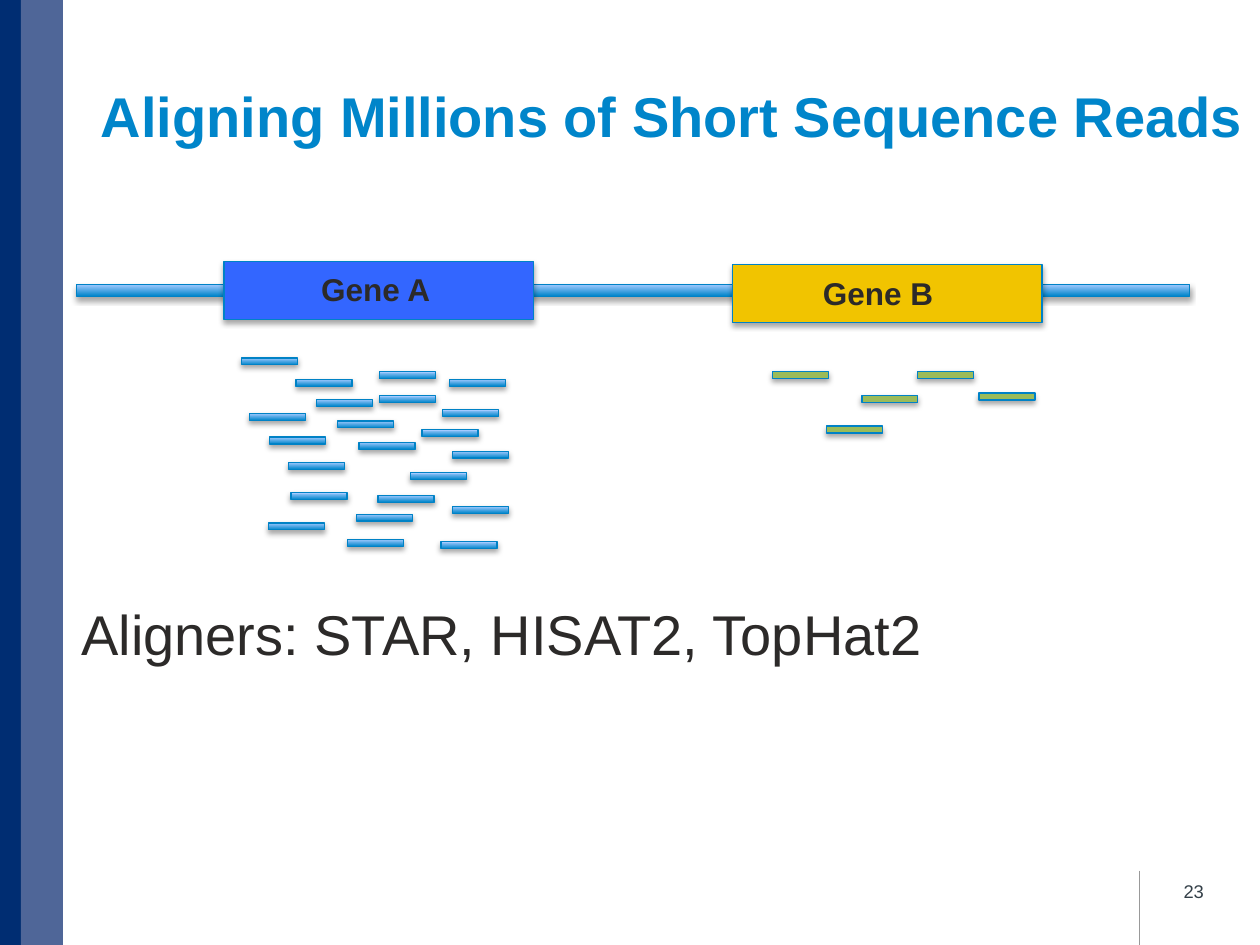
from dataclasses import dataclass

from lxml import etree
from pptx import Presentation
from pptx.dml.color import RGBColor
from pptx.enum.shapes import MSO_CONNECTOR, MSO_SHAPE
from pptx.enum.text import MSO_ANCHOR, PP_ALIGN
from pptx.oxml.ns import qn
from pptx.util import Pt

RECT = MSO_SHAPE.RECTANGLE
STRAIGHT = MSO_CONNECTOR.STRAIGHT
LEFT, RIGHT = PP_ALIGN.LEFT, PP_ALIGN.RIGHT
TOP, MIDDLE, BOTTOM = MSO_ANCHOR.TOP, MSO_ANCHOR.MIDDLE, MSO_ANCHOR.BOTTOM


@dataclass(frozen=True)
class Theme:
    font: str = "Arial"
    title_size: float = 32
    body_size: float = 32
    label_size: float = 18
    number_size: float = 10.5
    navy: str = "002D72"
    slate: str = "4F6698"
    title: str = "0085CA"
    text: str = "2C2A29"
    number: str = "333F48"
    rule: str = "999999"
    outline: str = "0082C6"
    gene_a: str = "3366FF"
    gene_b: str = "F1C400"
    read_b: str = "9BBB59"
    blue_gradient: tuple = ("0085CA", "A4CAFF")
    shadow: str = "000000"


THEME = Theme()
READ_SIZE = (32, 4)
GENE_SIZE = (177, 33.2)
READS_A = [
    (138.2, 204.5), (169.2, 216.7), (180.7, 228.2), (193, 240.5),
    (205.2, 252.7), (216.7, 226.1), (216.7, 212.4), (257, 216.7),
    (252.7, 234), (258.5, 257.8), (234.7, 270), (241.2, 245.5),
    (164.9, 264.2), (142.6, 236.2), (154.1, 249.8), (166.3, 281.5),
    (203.8, 293.8), (216, 283), (258.5, 289.4), (198.7, 308.2),
    (153.4, 298.8), (252, 309.6),
]
READS_B = [
    (441.4, 212.4), (524.2, 212.4), (492.5, 226.1), (559.4, 224.6),
    (472.3, 243.4),
]


def rgb(color):
    return RGBColor.from_string(color)


def add_rect(slide, x, y, w, h, fill):
    sp = slide.shapes.add_shape(RECT, Pt(x), Pt(y), Pt(w), Pt(h))
    sp.shadow.inherit = False
    sp.line.fill.background()
    if isinstance(fill, tuple):
        sp.fill.gradient()
        sp.fill.gradient_angle = 90
        for stop, position, color in zip(sp.fill.gradient_stops, (0, 1), fill):
            stop.position = position
            stop.color.rgb = rgb(color)
    else:
        sp.fill.solid()
        sp.fill.fore_color.rgb = rgb(fill)
    return sp


def add_bar(slide, x, y, w, h, fill):
    sp = add_rect(slide, x, y, w, h, fill)
    sp.line.color.rgb = rgb(THEME.outline)
    sp.line.width = Pt(0.75)
    effects = sp._element.spPr.find(qn("a:effectLst"))
    shadow = etree.SubElement(
        effects, qn("a:outerShdw"), blurRad=str(Pt(3.1)), dist=str(Pt(1.8)),
        dir="5400000", rotWithShape="0")
    color = etree.SubElement(shadow, qn("a:srgbClr"), val=THEME.shadow)
    etree.SubElement(color, qn("a:alpha"), val="35000")


def add_rule(slide, x, top, bottom):
    line = slide.shapes.add_connector(STRAIGHT, Pt(x), Pt(top), Pt(x), Pt(bottom))
    line.line.color.rgb = rgb(THEME.rule)
    line.line.width = Pt(0.25)
    etree.SubElement(line._element.spPr, qn("a:effectLst"))


def add_text(slide, text, x, y, w, h, *, size, color, bold=False,
             align=LEFT, anchor=TOP, wrap=False):
    tf = slide.shapes.add_textbox(Pt(x), Pt(y), Pt(w), Pt(h)).text_frame
    tf.word_wrap = wrap
    tf.vertical_anchor = anchor
    p = tf.paragraphs[0]
    p.alignment = align
    r = p.add_run()
    r.text = text
    r.font.name = THEME.font
    r.font.size = Pt(size)
    r.font.bold = bold
    r.font.color.rgb = rgb(color)


def add_reads(slide, positions, fill):
    for x, y in positions:
        add_bar(slide, x, y, *READ_SIZE, fill)


def main():
    prs = Presentation()
    prs.slide_width, prs.slide_height = Pt(720), Pt(540)
    slide = prs.slides.add_slide(prs.slide_layouts[6])

    add_rule(slide, 651, 497.5, 540)
    add_rect(slide, 0, 0, 12, 540, THEME.navy)
    add_rect(slide, 12, 0, 24, 540, THEME.slate)
    add_text(slide, "23", 527, 494.6, 168, 28.8, size=THEME.number_size,
             color=THEME.number, align=RIGHT, anchor=MIDDLE, wrap=True)
    add_text(slide, "Aligning Millions of Short Sequence Reads", 0, 25.2, 718, 63.4,
             size=THEME.title_size, color=THEME.title, bold=True,
             align=RIGHT, anchor=BOTTOM, wrap=True)

    add_bar(slide, 43.8, 162.5, 636, 6.8, THEME.blue_gradient)
    add_bar(slide, 128, 149.4, *GENE_SIZE, THEME.gene_a)
    add_bar(slide, 418.5, 151.2, *GENE_SIZE, THEME.gene_b)
    add_reads(slide, READS_A, THEME.blue_gradient)
    add_reads(slide, READS_B, THEME.read_b)

    for label, x, y in (("Gene A", 175, 150.5), ("Gene B", 462.4, 153.2)):
        add_text(slide, label, x, y, 78, 29, size=THEME.label_size,
                 color=THEME.text, bold=True, align=RIGHT)
    add_text(slide, "Aligners: STAR, HISAT2, TopHat2", 39.4, 339.1, 499, 46,
             size=THEME.body_size, color=THEME.text)

    prs.save("out.pptx")


if __name__ == "__main__":
    main()
